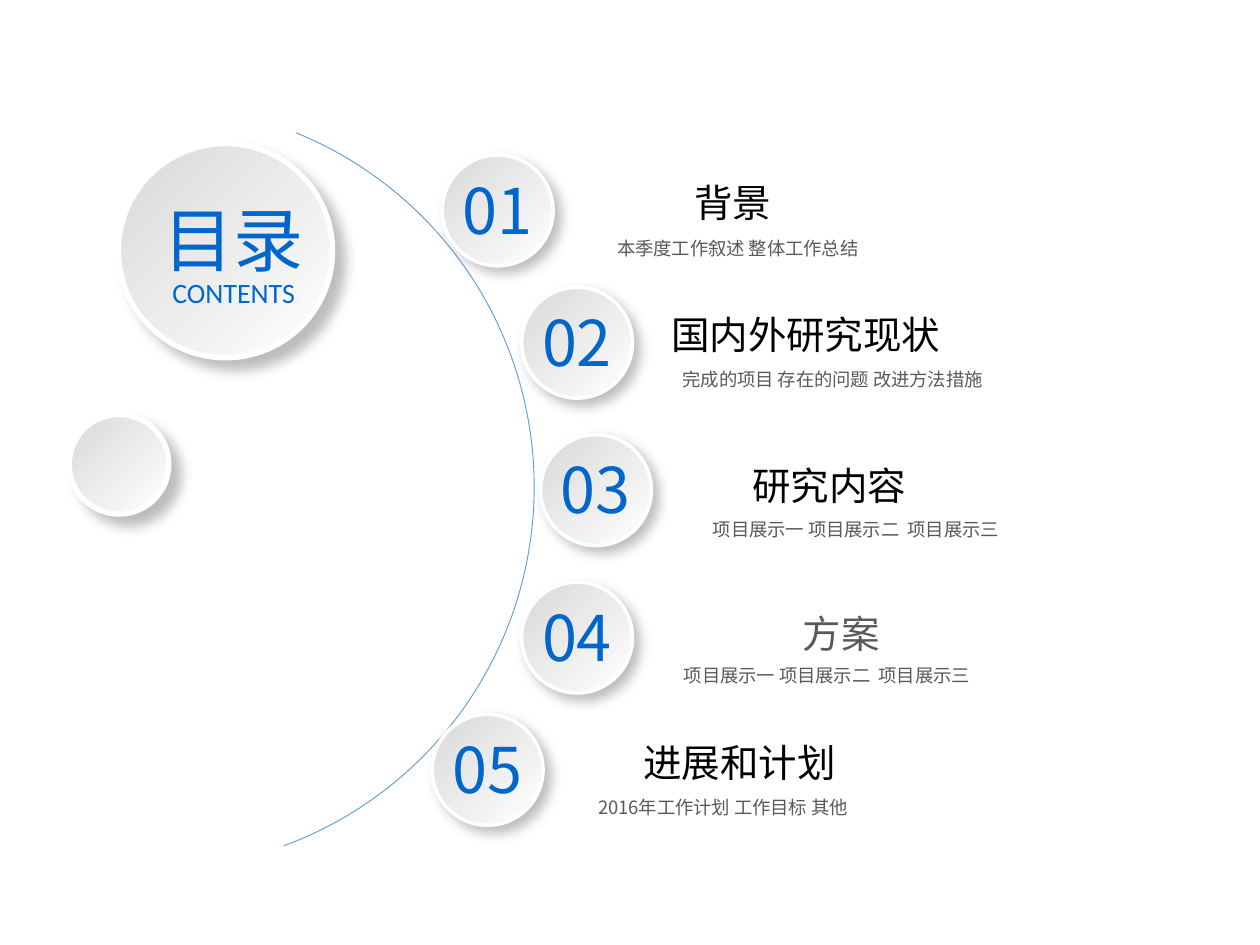
from dataclasses import dataclass
from typing import Any

from lxml.etree import SubElement
from pptx import Presentation
from pptx.dml.color import RGBColor
from pptx.enum.shapes import MSO_SHAPE
from pptx.enum.text import MSO_ANCHOR, PP_ALIGN
from pptx.oxml.ns import qn
from pptx.util import Inches, Pt

ITEMS = [
    ((3.51, 1.23), "背景", (4.49, 1.37, 2.65), "000000",
     "本季度工作叙述 整体工作总结", (4.8, 1.83, 2.2)),
    ((4.14, 2.28), "国内外研究现状", (4.92, 2.42, 2.95), "000000",
     "完成的项目 存在的问题 改进方法措施", (5.32, 2.87, 2.66)),
    ((4.29, 3.45), "研究内容", (4.86, 3.62, 3.44), "000000",
     "项目展示一 项目展示二  项目展示三", (5.56, 4.06, 2.61)),
    ((4.14, 4.62), "方案", (5.1, 4.79, 3.15), "595959",
     "项目展示一 项目展示二  项目展示三", (5.33, 5.22, 2.65)),
    ((3.43, 5.67), "进展和计划", (4.15, 5.82, 3.44), "000000",
     "2016年工作计划 工作目标 其他", (4.65, 6.27, 2.34)),
]


def rgb(value):
    return RGBColor.from_string(value)


@dataclass
class Deck:
    """Hold the style and the current slide, and draw each kind of element."""

    slide: Any
    blue: str = "0066CC"
    grey: str = "595959"
    cjk: str = "Noto Sans CJK SC"
    latin: str = "Calibri"

    def set_text(self, sp, text, size, color, font, align):
        tf = sp.text_frame
        tf.word_wrap = True
        tf.vertical_anchor = MSO_ANCHOR.TOP
        p = tf.paragraphs[0]
        p.text = text
        p.alignment = align
        p.line_spacing = 1.0
        p.space_before = Pt(0)
        p.font.size = Pt(size)
        p.font.name = font
        p.font.color.rgb = rgb(color)
        SubElement(p.font._element, qn("a:ea"), typeface=font)

    def title(self, text, x, y, w, h):
        sp = self.slide.shapes.title
        sp.left, sp.top, sp.width, sp.height = map(Inches, (x, y, w, h))
        self.set_text(sp, text, 40, self.blue, self.cjk, PP_ALIGN.CENTER)
        self.slide.shapes._spTree.append(sp._element)

    def text(self, text, x, y, w, h, size, color, font=None, align=PP_ALIGN.CENTER):
        sp = self.slide.shapes.add_textbox(*map(Inches, (x, y, w, h)))
        self.set_text(sp, text, size, color, font or self.cjk, align)

    def disc(self, x, y, size, line, distance):
        sp = self.slide.shapes.add_shape(
            MSO_SHAPE.OVAL, *map(Inches, (x, y, size, size)))
        sp.fill.gradient()
        sp.fill.gradient_angle = 315
        for stop, color in zip(sp.fill.gradient_stops, ("D9D9D9", "FFFFFF")):
            stop.color.rgb = rgb(color)
        sp.line.color.rgb = rgb("FFFFFF")
        sp.line.width = Pt(line)
        self.shadow(sp, distance)

    def shadow(self, sp, distance):
        sp.shadow.inherit = False
        effects = sp._element.spPr.find(qn("a:effectLst"))
        outer = SubElement(
            effects, qn("a:outerShdw"), blurRad=str(Pt(7)), dist=str(Pt(distance)),
            dir=str(45 * 60000), algn="tl", rotWithShape="0")
        color = SubElement(outer, qn("a:srgbClr"), val="000000")
        SubElement(color, qn("a:alpha"), val="25000")

    def arc(self, x, y, size, rotation, start, end):
        sp = self.slide.shapes.add_shape(
            MSO_SHAPE.ARC, *map(Inches, (x, y, size, size)))
        sp.adjustments[0], sp.adjustments[1] = start, end
        sp.rotation = rotation
        sp.shadow.inherit = False
        sp.fill.background()
        sp.line.color.rgb = rgb("5B9BD5")
        sp.line.width = Pt(0.5)

    def item(self, number, disc, heading, heading_at, color, detail, detail_at):
        x, y = disc
        self.disc(x, y, 0.88, 2, 5)
        self.text(f"{number:02}", x + 0.04, y + 0.08, 0.8, 0.71, 36, self.blue)
        self.text(heading, *heading_at, 0.47, 22, color)
        self.text(detail, *detail_at, 0.28, 10.5, self.grey, align=PP_ALIGN.LEFT)


def main():
    prs = Presentation()
    prs.slide_width, prs.slide_height = Inches(10), Inches(7.5)
    deck = Deck(prs.slides.add_slide(prs.slide_layouts[5]))
    deck.disc(0.55, 3.29, 0.79, 3, 8)
    deck.disc(0.94, 1.14, 1.7, 3, 8)
    deck.title("目录", 0.88, 1.51, 1.95, 0.77)
    deck.text("CONTENTS", 1.1, 2.14, 1.51, 0.37, 16, deck.blue, deck.latin)
    deck.arc(-1.83, 0.83, 6.07, 14.1, 166.84, 33.43)
    for number, item in enumerate(ITEMS, 1):
        deck.item(number, *item)
    prs.save("out.pptx")


if __name__ == "__main__":
    main()
